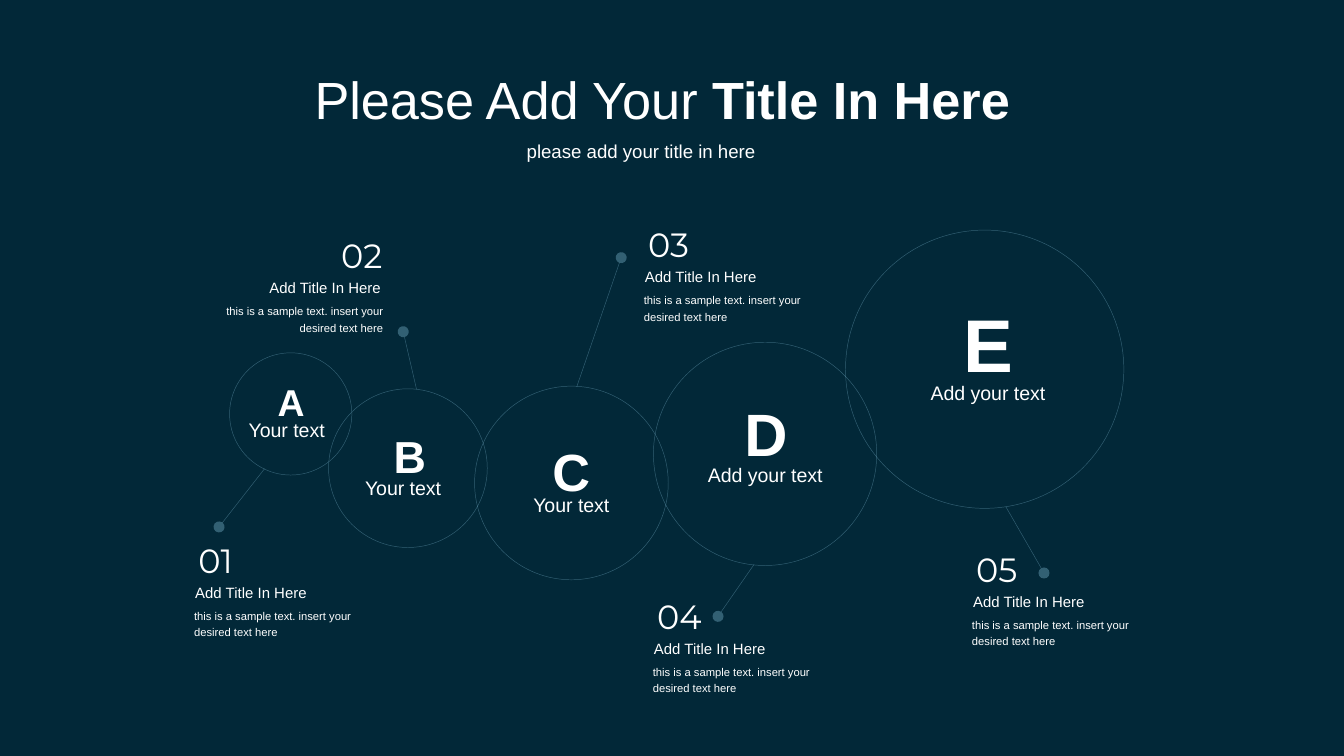
from lxml.etree import SubElement
from pptx import Presentation
from pptx.dml.color import RGBColor
from pptx.enum.shapes import MSO_CONNECTOR as Connector, MSO_SHAPE as Shape
from pptx.enum.text import MSO_ANCHOR as Anchor, MSO_AUTO_SIZE as AutoSize, PP_ALIGN as Align
from pptx.oxml.ns import qn
from pptx.util import Cm, Pt

NAVY = RGBColor(0x02, 0x28, 0x38)
WHITE = RGBColor(0xFF, 0xFF, 0xFF)
ICE = RGBColor(0xA4, 0xE2, 0xFE)

SAMPLE = "this is a sample text. insert your desired text here"
HEADING = "Add Title In Here"


def write(frame, text, *, size, font="Arial", bold=False, align=Align.LEFT,
          spacing=None, wrap=False):
    """Append a formatted run to the first paragraph of a text frame."""
    frame.word_wrap = wrap
    frame.auto_size = AutoSize.SHAPE_TO_FIT_TEXT
    frame.vertical_anchor = Anchor.TOP
    paragraph = frame.paragraphs[0]
    paragraph.alignment = align
    paragraph.space_before = Pt(0)
    if spacing:
        paragraph.line_spacing = Pt(spacing)
    run = paragraph.add_run()
    run.text = text
    run.font.name = font
    run.font.size = Pt(size)
    run.font.bold = bold
    run.font.color.rgb = WHITE


class CircleSlide:
    def __init__(self, slide):
        self.slide = slide
        slide.background.fill.solid()
        slide.background.fill.fore_color.rgb = NAVY

    def heading(self, holder, box, *parts, size):
        holder.left, holder.top, holder.width, holder.height = map(Cm, box)
        for text, bold in parts:
            write(holder.text_frame, text, size=size, bold=bold)

    def text(self, left, top, width, height, text, **style):
        box = self.slide.shapes.add_textbox(Cm(left), Cm(top), Cm(width), Cm(height))
        write(box.text_frame, text, **style)

    def outline(self, line):
        line.width = Pt(0.25)
        line.fill.solid()
        line.fill.fore_color.rgb = ICE
        color = line.fill._xPr.find(qn("a:solidFill"))[0]
        SubElement(color, qn("a:alpha"), val="30000")

    def circle(self, left, top, diameter):
        ring = self.slide.shapes.add_shape(
            Shape.OVAL, Cm(left), Cm(top), Cm(diameter), Cm(diameter))
        ring.shadow.inherit = False
        ring.fill.background()
        self.outline(ring.line)

    def pointer(self, start_x, start_y, end_x, end_y):
        pointer = self.slide.shapes.add_connector(
            Connector.STRAIGHT, Cm(start_x), Cm(start_y), Cm(end_x), Cm(end_y))
        self.outline(pointer.line)
        SubElement(pointer.line._ln, qn("a:tailEnd"), type="oval")
        SubElement(pointer._element.spPr, qn("a:effectLst"))

    def note(self, number, edge, top, right_aligned=False):
        """Number, heading and sample text stacked along one edge."""
        rows = [
            (0, 0, 1.37, 1.02, number, dict(size=18, font="Montserrat")),
            (0.06, 0.82, 2.67, 0.6, HEADING, dict(size=8)),
            (0.08, 1.24, 4.14, 0.88, SAMPLE, dict(
                size=6, spacing=9, wrap=True,
                align=Align.RIGHT if right_aligned else Align.LEFT)),
        ]
        for inset, drop, width, height, text, style in rows:
            left = edge - inset - (width if right_aligned else 0)
            self.text(left, top + drop, width, height, text, **style)


def main():
    deck = Presentation()
    deck.slide_width, deck.slide_height = Cm(25.4), Cm(14.29)
    page = CircleSlide(deck.slides.add_slide(deck.slide_layouts[0]))

    # Title and subtitle
    title, subtitle = page.slide.placeholders
    page.heading(title, (5.69, 1.14, 13.82, 1.45),
                 ("Please Add Your ", False), ("Title In Here", True), size=28)
    page.heading(subtitle, (9.7, 2.51, 4.85, 0.69),
                 ("please add your title in here", False), size=10)

    # Numbered notes: number, edge, top, right aligned, pointer from circle to dot
    notes = [
        ("01", 3.5, 10.08, False, (5, 8.86, 4.14, 9.96)),
        ("02", 7.57, 4.32, True, (7.87, 7.35, 7.62, 6.27)),
        ("03", 12, 4.11, False, (10.9, 7.31, 11.74, 4.87)),
        ("04", 12.17, 11.14, False, (14.25, 10.67, 13.57, 11.65)),
        ("05", 18.2, 10.25, False, (19.01, 9.58, 19.73, 10.83)),
    ]
    for number, edge, top, right_aligned, pointer in notes:
        page.pointer(*pointer)
        page.note(number, edge, top, right_aligned)

    # Circles: ring, letter (left, top, width, size), caption (left, top, width)
    circles = [
        ("A", (4.34, 6.67, 2.31), (5, 7.04, 1.04, 20), "Your text", (4.45, 7.9, 2.1)),
        ("B", (6.21, 7.35, 3), (7.19, 7.98, 1.14, 24), "Your text", (6.65, 8.99, 2.1)),
        ("C", (8.97, 7.3, 3.66), (10.19, 8.18, 1.24, 28), "Your text", (9.83, 9.32, 2.1)),
        ("D", (12.35, 6.47, 4.22), (13.82, 7.37, 1.35, 32), "Add your text", (13.13, 8.76, 2.85)),
        ("E", (15.98, 4.35, 5.26), (17.96, 5.51, 1.47, 40), "Add your text", (17.34, 7.21, 2.85)),
    ]
    for letter, ring, (left, top, width, size), caption, label in circles:
        page.circle(*ring)
        height = 0.25 + size * 0.04
        page.text(left, top, width, height, letter, size=size, bold=True)
        page.text(*label, 0.58, caption, size=10.5, spacing=9, wrap=True)

    deck.save("out.pptx")


if __name__ == "__main__":
    main()
